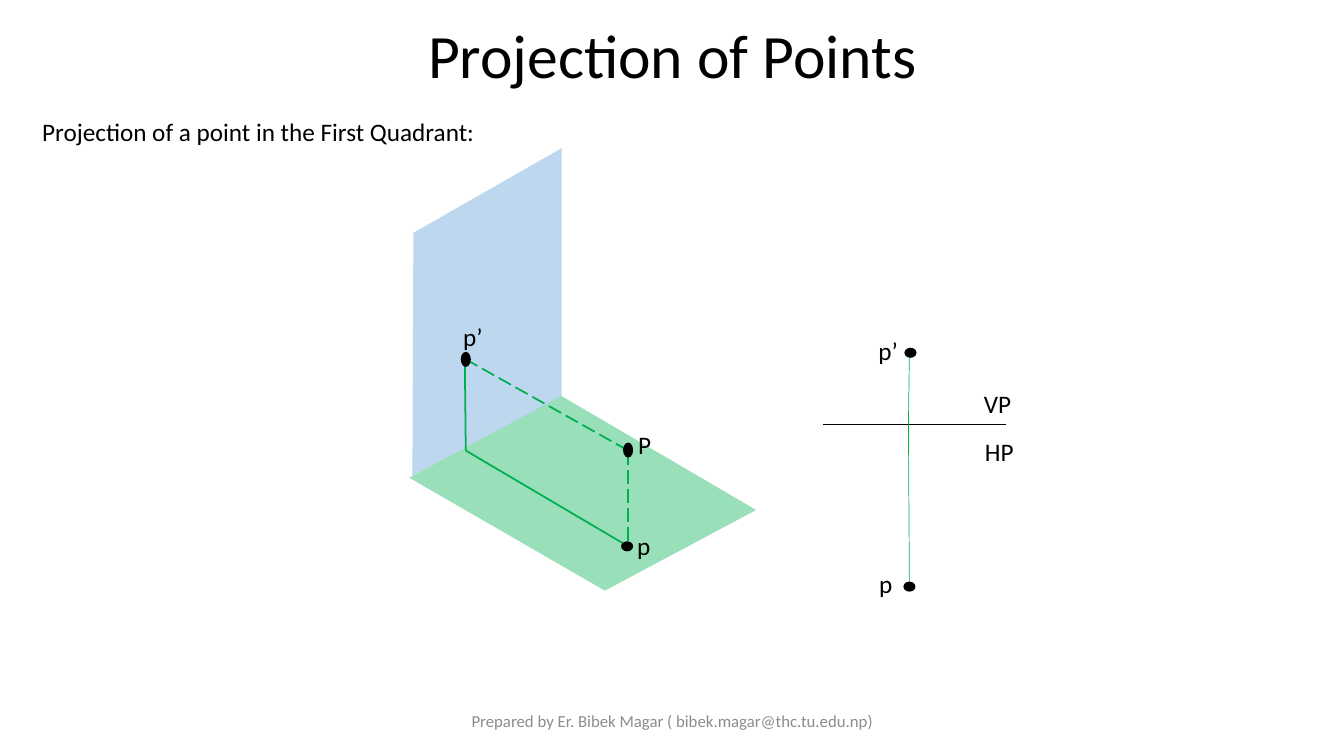
from lxml.etree import SubElement
from pptx import Presentation
from pptx.dml.color import RGBColor
from pptx.enum.dml import MSO_LINE
from pptx.enum.shapes import MSO_CONNECTOR, MSO_SHAPE
from pptx.enum.text import MSO_ANCHOR, PP_ALIGN
from pptx.oxml.ns import qn
from pptx.util import Pt

PX = 9144  # 100 px to the inch
FONT = "Calibri"
COLORS = {
    "text": "000000",
    "footer": "8C8C8C",
    "vertical": "5B9BD5",
    "green": "00B050",
}


def px(*lengths):
    return [n * PX for n in lengths]


def rgb(name):
    return RGBColor.from_string(COLORS[name])


def add_run(p, text, size, color="text"):
    r = p.add_run()
    r.text = text
    r.font.name = FONT
    r.font.size = Pt(size)
    r.font.color.rgb = rgb(color)


def set_title(s, text):
    title = s.shapes.title
    title.left, title.top, title.width, title.height = px(92, -14, 1150, 145)
    tf = title.text_frame
    tf.vertical_anchor = MSO_ANCHOR.MIDDLE
    p = tf.paragraphs[0]
    p.alignment = PP_ALIGN.CENTER
    p.line_spacing = 0.9
    add_run(p, text, 44)


def add_label(s, text, x, y, w, align=PP_ALIGN.LEFT, size=18, color="text",
              anchor=MSO_ANCHOR.TOP):
    tf = s.shapes.add_textbox(*px(x, y, w, 40)).text_frame
    tf.word_wrap = True
    tf.vertical_anchor = anchor
    p = tf.paragraphs[0]
    p.alignment = align
    add_run(p, text, size, color)


def add_plane(s, corners, color):
    """Draw a closed outline with a 40 % opaque fill."""
    fb = s.shapes.build_freeform(*corners[0], scale=PX)
    fb.add_line_segments(corners[1:], close=True)
    sp = fb.convert_to_shape()
    sp.shadow.inherit = False
    sp.line.fill.background()
    sp.fill.solid()
    sp.fill.fore_color.rgb = rgb(color)
    clr = sp.fill._xPr.find(qn("a:solidFill"))[0]
    SubElement(clr, qn("a:alpha")).set("val", "40000")


def add_line(s, start, end, color="green", width=1.25, dashed=False):
    cx = s.shapes.add_connector(MSO_CONNECTOR.STRAIGHT, *px(*start, *end))
    cx.line.color.rgb = rgb(color)
    cx.line.width = Pt(width)
    if dashed:
        cx.line.dash_style = MSO_LINE.LONG_DASH
    SubElement(cx._element.spPr, qn("a:effectLst"))


def add_dot(s, x, y, w, h):
    dot = s.shapes.add_shape(MSO_SHAPE.OVAL, *px(x, y, w, h))
    dot.shadow.inherit = False
    dot.fill.solid()
    dot.fill.fore_color.rgb = rgb("text")
    dot.line.fill.background()


def draw_pictorial_view(s):
    add_plane(s, [(557, 393), (409, 472), (410, 231), (557, 147)], "vertical")
    add_plane(s, [(406, 474), (557, 393), (750, 506), (600, 586)], "green")

    point, front, top, foot = (623, 447), (461, 356), (623, 542), (462, 447)
    add_line(s, point, front, dashed=True)
    add_line(s, point, top, dashed=True)
    add_line(s, top, foot)
    add_line(s, front, foot)
    add_dot(s, 618, 439, 10, 15)
    add_dot(s, 457, 349, 10, 15)
    add_dot(s, 616, 537, 12, 10)

    add_label(s, "P", 623, 421, 61)
    add_label(s, "p’", 442, 314, 54, PP_ALIGN.CENTER)
    add_label(s, "p", 622, 521, 30)


def draw_orthographic_view(s):
    crossing = (901, 421)
    add_line(s, (816, 421), (998, 421), "text", 0.5)
    add_line(s, crossing, (902, 348), width=0.5)
    add_line(s, crossing, (902, 583), width=0.5)
    add_dot(s, 897, 345, 12, 10)
    add_dot(s, 896, 577, 12, 10)

    add_label(s, "p’", 854, 328, 54, PP_ALIGN.CENTER)
    add_label(s, "p", 862, 559, 30)
    add_label(s, "VP", 966, 380, 62)
    add_label(s, "HP", 967, 428, 62)


def main():
    prs = Presentation()
    prs.slide_width, prs.slide_height = px(1333, 750)
    s = prs.slides.add_slide(prs.slide_layouts[5])
    set_title(s, "Projection of Points")
    add_label(s, "Projection of a point in the First Quadrant:", 32, 111, 507)
    draw_pictorial_view(s)
    draw_orthographic_view(s)
    add_label(s, "Prepared by Er. Bibek Magar ( bibek.magar@thc.tu.edu.np)",
              442, 695, 450, PP_ALIGN.CENTER, 12, "footer", MSO_ANCHOR.MIDDLE)
    prs.save("out.pptx")


if __name__ == "__main__":
    main()
